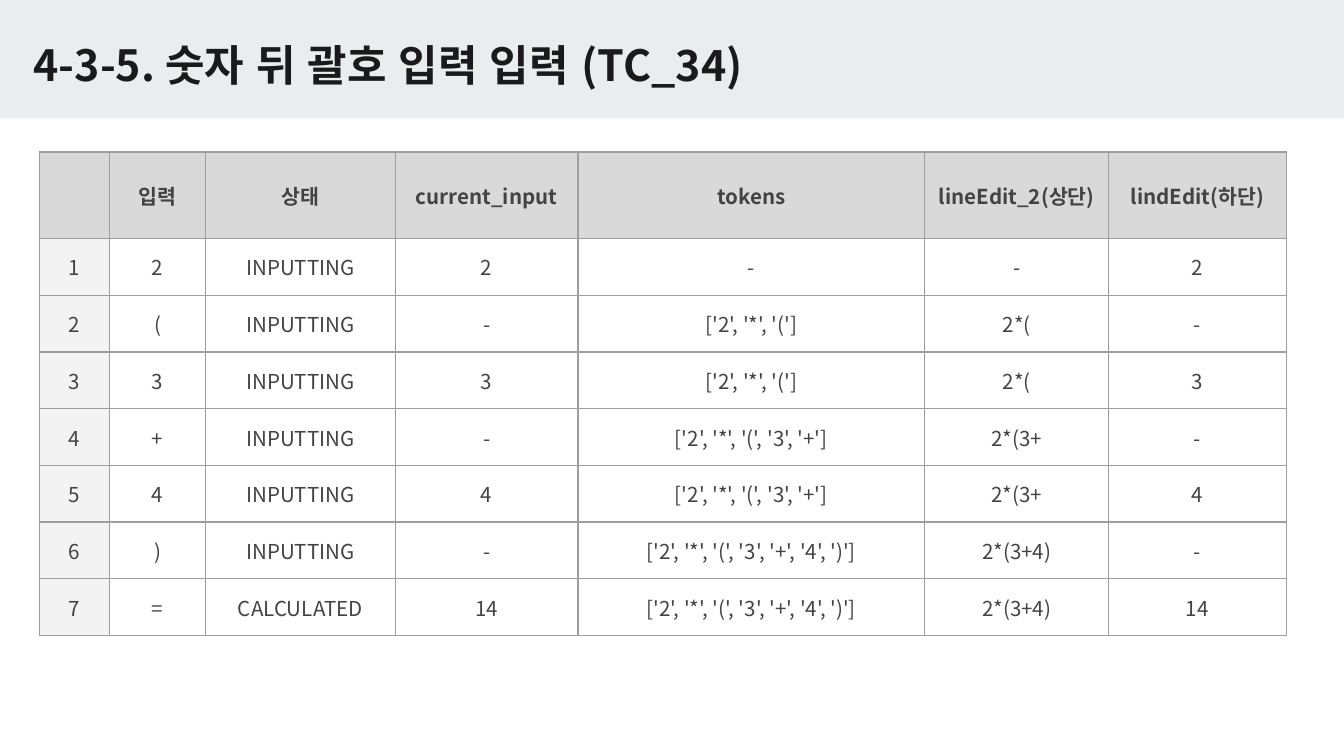
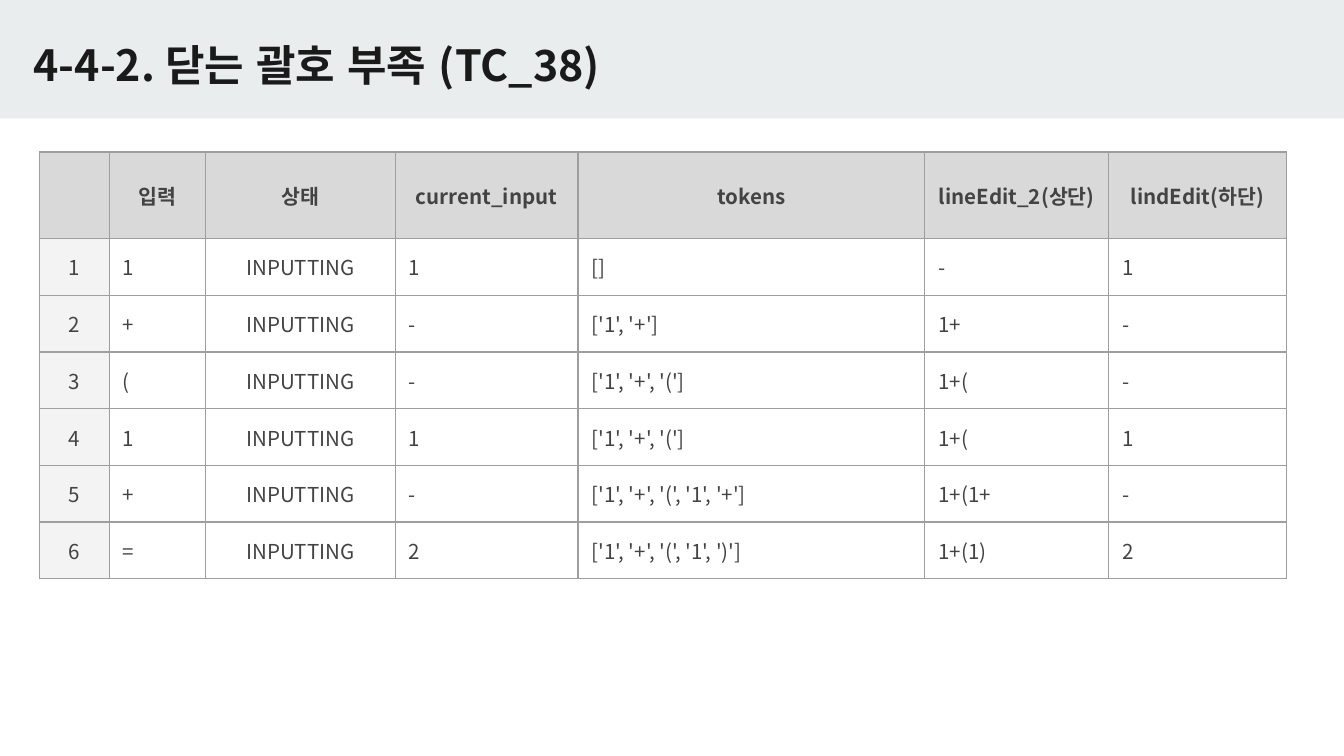
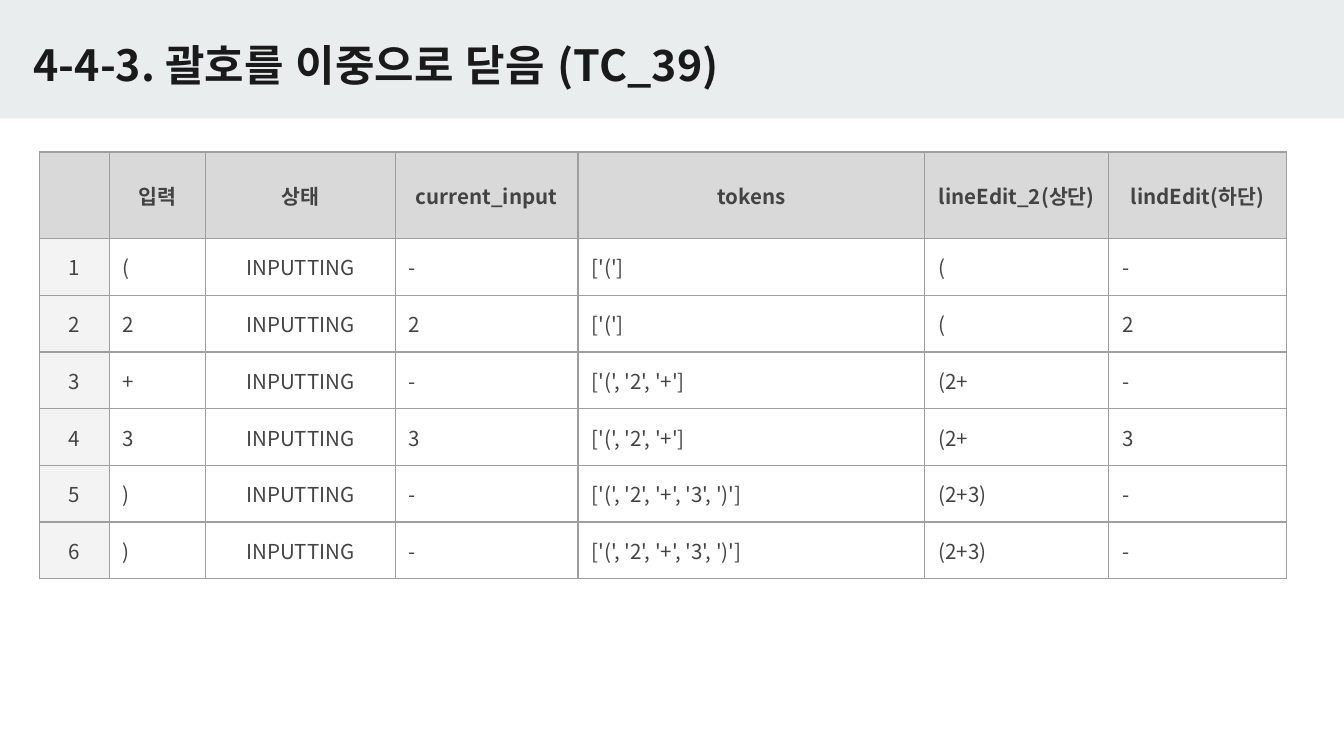
from lxml import etree
from pptx import Presentation
from pptx.dml.color import RGBColor
from pptx.enum.lang import MSO_LANGUAGE_ID
from pptx.enum.shapes import MSO_SHAPE
from pptx.enum.text import MSO_ANCHOR, MSO_AUTO_SIZE, PP_ALIGN
from pptx.oxml.ns import qn
from pptx.util import Pt

RECT = MSO_SHAPE.RECTANGLE
MIDDLE = MSO_ANCHOR.MIDDLE
NO_FIT = MSO_AUTO_SIZE.NONE
LEFT, CENTER = PP_ALIGN.LEFT, PP_ALIGN.CENTER
KOREAN = MSO_LANGUAGE_ID.KOREAN

# Shared style
FONT = "Noto Sans CJK KR"
BAND, TITLE_INK, INK = "E9EDEE", "1A1A1A", "434343"
HEADER_FILL, NUMBER_FILL, GRID = "D9D9D9", "F3F3F3", "9E9E9E"
SLIDE_W, SLIDE_H, BAND_H = 720, 405, 63.4
INSET = 7.2

# Test-case table: layout and header
TABLE_X, TABLE_Y = 21.2, 81.4
COL_WIDTHS = [37.4, 51.6, 101.6, 97.9, 185.8, 98.5, 95.1]
HEADER_H, ROW_H = 45.8, 30.3
HEADER = ["", "입력", "상태", "current_input", "tokens",
          "lineEdit_2(상단)", "lindEdit(하단)"]
STATE_COL = 2

# Steps: input, state, current_input, tokens, upper line, lower line
DIGIT_THEN_PAREN = [
    ("2", "INPUTTING", "2", "-", "-", "2"),
    ("(", "INPUTTING", "-", "['2', '*', '(']", "2*(", "-"),
    ("3", "INPUTTING", "3", "['2', '*', '(']", "2*(", "3"),
    ("+", "INPUTTING", "-", "['2', '*', '(', '3', '+']", "2*(3+", "-"),
    ("4", "INPUTTING", "4", "['2', '*', '(', '3', '+']", "2*(3+", "4"),
    (")", "INPUTTING", "-", "['2', '*', '(', '3', '+', '4', ')']", "2*(3+4)", "-"),
    ("=", "CALCULATED", "14", "['2', '*', '(', '3', '+', '4', ')']", "2*(3+4)", "14"),
]
MISSING_CLOSE = [
    ("1", "INPUTTING", "1", "[]", "-", "1"),
    ("+", "INPUTTING", "-", "['1', '+']", "1+", "-"),
    ("(", "INPUTTING", "-", "['1', '+', '(']", "1+(", "-"),
    ("1", "INPUTTING", "1", "['1', '+', '(']", "1+(", "1"),
    ("+", "INPUTTING", "-", "['1', '+', '(', '1', '+']", "1+(1+", "-"),
    ("=", "INPUTTING", "2", "['1', '+', '(', '1', ')']", "1+(1)", "2"),
]
DOUBLE_CLOSE = [
    ("(", "INPUTTING", "-", "['(']", "(", "-"),
    ("2", "INPUTTING", "2", "['(']", "(", "2"),
    ("+", "INPUTTING", "-", "['(', '2', '+']", "(2+", "-"),
    ("3", "INPUTTING", "3", "['(', '2', '+']", "(2+", "3"),
    (")", "INPUTTING", "-", "['(', '2', '+', '3', ')']", "(2+3)", "-"),
    (")", "INPUTTING", "-", "['(', '2', '+', '3', ')']", "(2+3)", "-"),
]


def rgb(color):
    return RGBColor.from_string(color)


def add_run(p, text, size, color, bold=False):
    r = p.add_run()
    r.text = text
    font = r.font
    font.name, font.size, font.bold = FONT, Pt(size), bold
    font.color.rgb = rgb(color)
    font.language_id = KOREAN
    # Hangul takes its typeface from the East Asian slot
    ea = etree.SubElement(r._r.get_or_add_rPr(), qn("a:ea"))
    ea.set("typeface", FONT)


def set_insets(box):
    box.margin_left = box.margin_right = Pt(INSET)
    box.margin_top = box.margin_bottom = Pt(INSET)


def add_title(s, text, width):
    title = s.shapes.title
    title.left, title.top = Pt(10.8), Pt(13)
    title.width, title.height = Pt(width), Pt(42.5)
    tf = title.text_frame
    set_insets(tf)
    tf.word_wrap, tf.auto_size = True, NO_FIT
    tf.vertical_anchor = MIDDLE
    p = tf.paragraphs[0]
    p.alignment = LEFT
    add_run(p, text, 23, TITLE_INK, bold=True)


def add_band(s):
    band = s.shapes.add_shape(RECT, 0, 0, Pt(SLIDE_W), Pt(BAND_H))
    band.shadow.inherit = False
    band.fill.solid()
    band.fill.fore_color.rgb = rgb(BAND)
    band.line.fill.background()
    s.shapes.title.element.addprevious(band.element)  # behind the title


def set_borders(cell):
    tcPr = cell._tc.get_or_add_tcPr()
    for side in ("a:lnL", "a:lnR", "a:lnT", "a:lnB"):
        ln = etree.SubElement(tcPr, qn(side), w=str(Pt(0.75)))
        fill = etree.SubElement(ln, qn("a:solidFill"))
        etree.SubElement(fill, qn("a:srgbClr"), val=GRID)


def fill_cell(cell, text, align, fill=None, bold=False):
    set_borders(cell)
    set_insets(cell)
    cell.vertical_anchor = MIDDLE
    if fill:
        cell.fill.solid()
        cell.fill.fore_color.rgb = rgb(fill)
    else:
        cell.fill.background()
    p = cell.text_frame.paragraphs[0]
    p.alignment = align
    if text:
        add_run(p, text, 11, INK, bold)


def add_step_table(s, steps, align):
    heights = [HEADER_H] + [ROW_H] * len(steps)
    table = s.shapes.add_table(
        len(heights), len(COL_WIDTHS), Pt(TABLE_X), Pt(TABLE_Y),
        Pt(sum(COL_WIDTHS)), Pt(sum(heights))).table
    table.first_row = table.horz_banding = False
    for col, width in zip(table.columns, COL_WIDTHS):
        col.width = Pt(width)
    for row, height in zip(table.rows, heights):
        row.height = Pt(height)

    for c, label in enumerate(HEADER):
        fill_cell(table.cell(0, c), label, CENTER, HEADER_FILL, bold=True)
    for n, step in enumerate(steps, 1):
        fill_cell(table.cell(n, 0), str(n), CENTER, NUMBER_FILL)
        for c, text in enumerate(step, 1):
            fill_cell(table.cell(n, c), text, CENTER if c == STATE_COL else align)


def add_case_slide(prs, title, title_w, steps, align):
    s = prs.slides.add_slide(prs.slide_layouts[5])
    add_band(s)
    add_title(s, title, title_w)
    add_step_table(s, steps, align)


def main():
    prs = Presentation()
    prs.slide_width, prs.slide_height = Pt(SLIDE_W), Pt(SLIDE_H)
    add_case_slide(prs, "4-3-5. 숫자 뒤 괄호 입력 입력 (TC_34)", 679,
                   DIGIT_THEN_PAREN, CENTER)
    add_case_slide(prs, "4-4-2. 닫는 괄호 부족 (TC_38)", 679, MISSING_CLOSE, LEFT)
    add_case_slide(prs, "4-4-3. 괄호를 이중으로 닫음 (TC_39)", 605.5,
                   DOUBLE_CLOSE, LEFT)
    prs.save("out.pptx")


if __name__ == "__main__":
    main()
